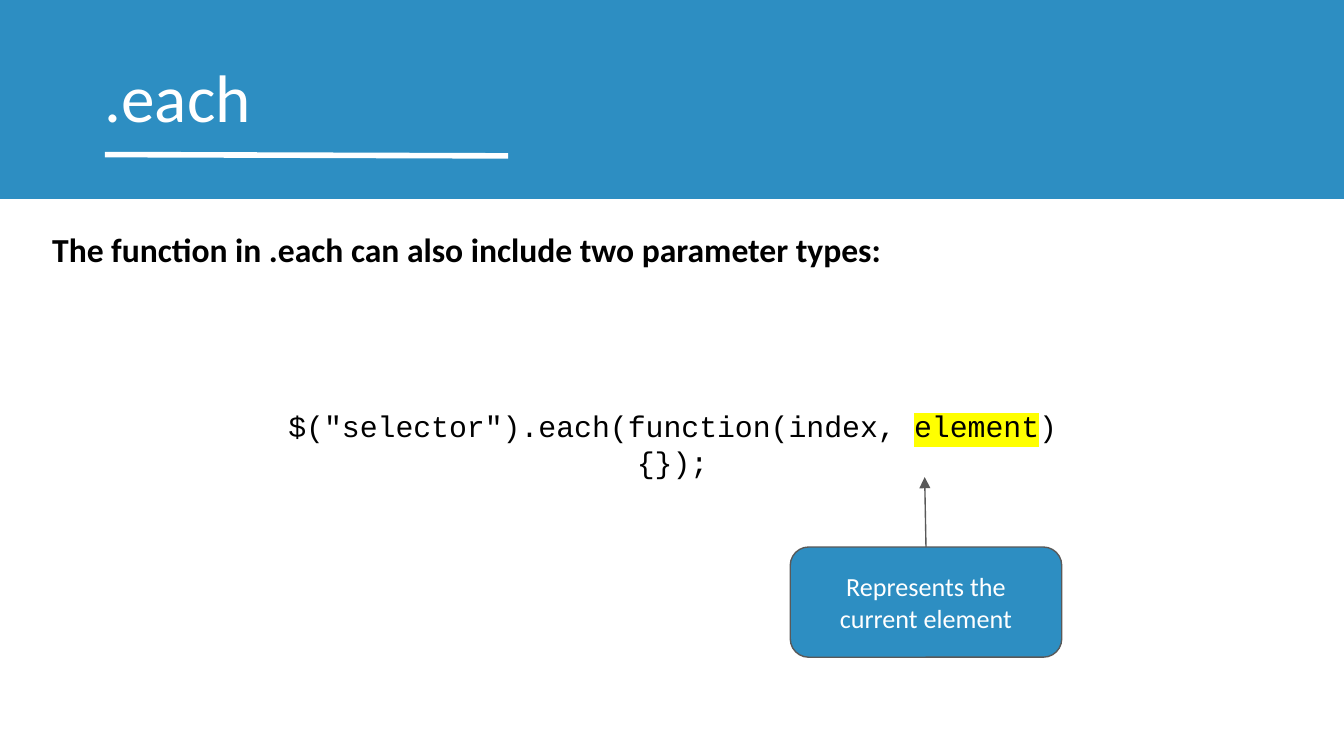
from lxml import etree
from pptx import Presentation
from pptx.dml.color import RGBColor
from pptx.enum.shapes import MSO_CONNECTOR, MSO_SHAPE
from pptx.enum.text import MSO_ANCHOR, PP_ALIGN
from pptx.oxml.ns import qn
from pptx.util import Inches, Pt

STRAIGHT = MSO_CONNECTOR.STRAIGHT
RECTANGLE, ROUNDED = MSO_SHAPE.RECTANGLE, MSO_SHAPE.ROUNDED_RECTANGLE
TOP, MIDDLE = MSO_ANCHOR.TOP, MSO_ANCHOR.MIDDLE
LEFT, CENTER = PP_ALIGN.LEFT, PP_ALIGN.CENTER

# Widescreen page, 16 to 9
PAGE_WIDTH = 10
PAGE_HEIGHT = PAGE_WIDTH * 9 / 16

COLORS = {
    "blue": "2D8EC2",
    "white": "FFFFFF",
    "black": "000000",
    "gray": "595959",
    "yellow": "FFFF00",
}

# Content: each run is (text, highlight color or None)
TITLE = [(".each", None)]
LEAD = [("The function in .each can also include two parameter types:", None)]
CODE = [
    ('$("selector").each(function(index, ', None),
    ("element", "yellow"),
    ("){});", None),
]
CALLOUT = [("Represents the current element", None)]

# Text boxes: runs, (left, top, width, height), font, size, color, bold, anchor, alignment
TEXTS = [
    (TITLE, (0.68, 0.31, 9.32, 0.63), "Calibri", 36, "white", False, TOP, LEFT),
    (LEAD, (0.29, 1.6, 9.26, 0.53), "Calibri", 18, "black", True, TOP, LEFT),
    (CODE, (1.91, 2.67, 6.19, 1.26), "Courier New", 16, "black", False, MIDDLE, CENTER),
]
CALLOUT_AREA = (5.88, 4.07, 2.02, 0.82)
ARROW_TIP = (6.88, 3.55)


def rgb(name):
    return RGBColor.from_string(COLORS[name])


def write(shape, runs, font, size, color, bold, anchor, alignment):
    frame = shape.text_frame
    frame.word_wrap = True
    frame.vertical_anchor = anchor
    frame.margin_left = frame.margin_right = Inches(0.1)
    frame.margin_top = frame.margin_bottom = Inches(0.1)
    para = frame.paragraphs[0]
    para.alignment = alignment
    for text, highlight in runs:
        span = para.add_run()
        span.text = text
        span.font.size = Pt(size)
        span.font.bold = bold
        span.font.color.rgb = rgb(color)
        if highlight:
            # The highlight must follow the fill and precede the font
            mark = etree.SubElement(span.font._element, qn("a:highlight"))
            etree.SubElement(mark, qn("a:srgbClr"), val=COLORS[highlight])
        span.font.name = font


def add_box(slide, kind, area, fill, line=None):
    box = slide.shapes.add_shape(kind, *map(Inches, area))
    box.shadow.inherit = False
    box.fill.solid()
    box.fill.fore_color.rgb = rgb(fill)
    if line:
        box.line.color.rgb = rgb(line)
        box.line.width = Pt(0.75)
    else:
        box.line.fill.background()
    return box


def add_line(slide, start, end, color, width, arrow=False):
    line = slide.shapes.add_connector(STRAIGHT, *map(Inches, start + end))
    line.line.color.rgb = rgb(color)
    line.line.width = Pt(width)
    if arrow:
        etree.SubElement(line.line._get_or_add_ln(), qn("a:tailEnd"), type="triangle")
    etree.SubElement(line._element.spPr, qn("a:effectLst"))


def main():
    deck = Presentation()
    deck.slide_width, deck.slide_height = Inches(PAGE_WIDTH), Inches(PAGE_HEIGHT)
    slide = deck.slides.add_slide(deck.slide_layouts[6])

    # Header band and title underline
    add_box(slide, RECTANGLE, (0, 0, PAGE_WIDTH, 1.48), "blue")
    add_line(slide, (0.78, 1.15), (3.78, 1.16), "white", 3)

    # Title, lead sentence and code
    for runs, area, *style in TEXTS:
        box = slide.shapes.add_textbox(*map(Inches, area))
        write(box, runs, *style)

    # Callout with an arrow from its top center to the code
    callout = add_box(slide, ROUNDED, CALLOUT_AREA, "blue", "gray")
    write(callout, CALLOUT, "Calibri", 14, "white", False, MIDDLE, CENTER)
    left, top, width, _ = CALLOUT_AREA
    add_line(slide, (left + width / 2, top), ARROW_TIP, "gray", 0.75, arrow=True)

    deck.save("out.pptx")


if __name__ == "__main__":
    main()
